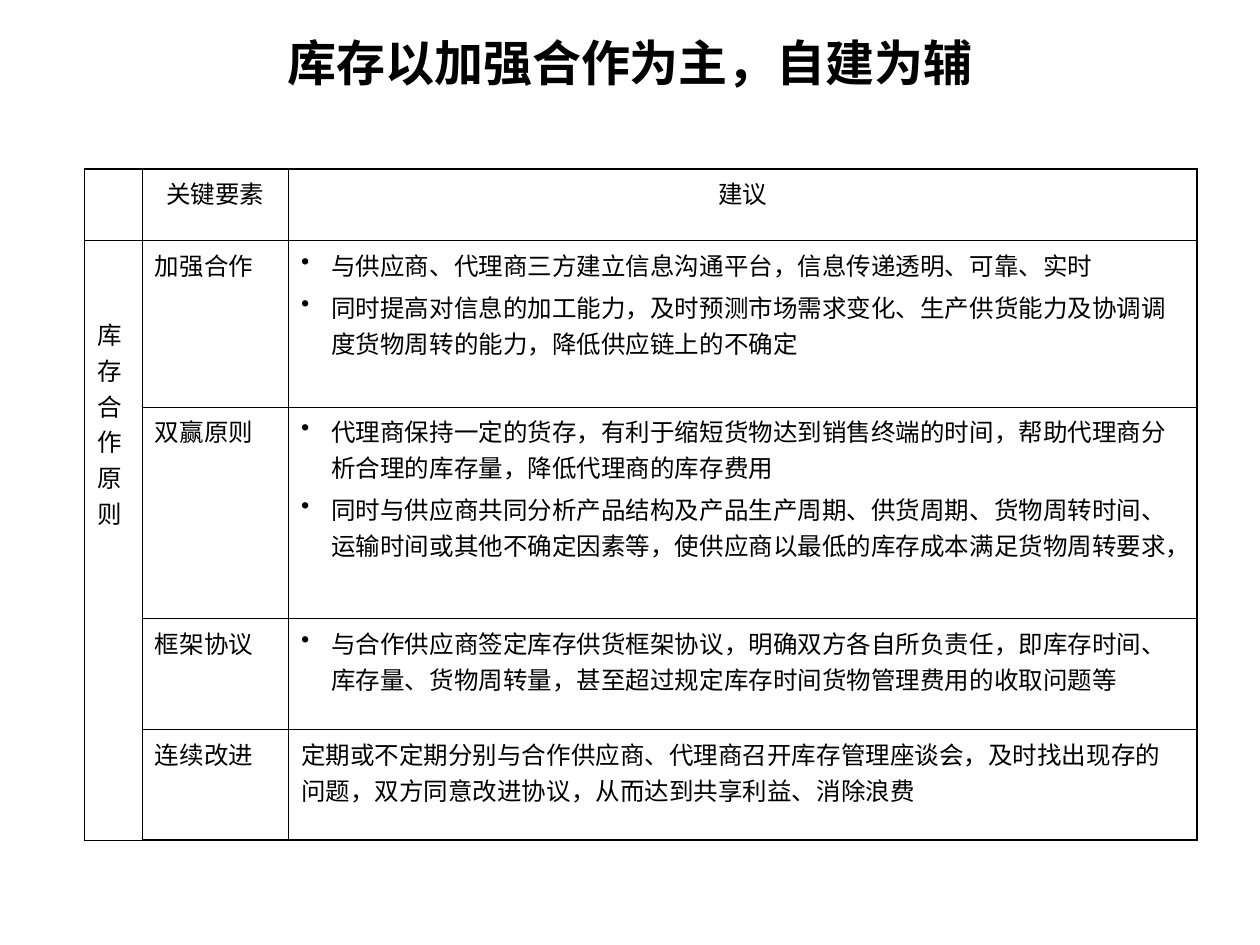
from dataclasses import dataclass

from lxml import etree
from pptx import Presentation
from pptx.dml.color import RGBColor
from pptx.enum.text import MSO_ANCHOR, PP_ALIGN
from pptx.oxml.ns import qn
from pptx.table import Table, _Cell
from pptx.text.text import TextFrame, _Paragraph
from pptx.util import Inches, Pt

BLACK = RGBColor(0, 0, 0)
LEFT, CENTER = PP_ALIGN.LEFT, PP_ALIGN.CENTER
MIDDLE = MSO_ANCHOR.MIDDLE
HEADING_FONT = "Noto Sans CJK SC"
BODY_FONT = "Times New Roman"
OUTER_LINE, INNER_LINE = Pt(1.08), Pt(0.45)
COLUMN_WIDTHS = (0.46, 1.16, 7.21)
ROW_HEIGHTS = (0.57, 1.32, 1.68, 0.88, 0.88)
HANGING = Inches(0.24)


@dataclass(frozen=True)
class Principle:
    element: str
    advice: tuple[str, ...]
    bulleted: bool = True


PRINCIPLES = (
    Principle("加强合作", (
        "与供应商、代理商三方建立信息沟通平台，信息传递透明、可靠、实时",
        "同时提高对信息的加工能力，及时预测市场需求变化、生产供货能力及协调调度货物周转的能力，降低供应链上的不确定",
    )),
    Principle("双赢原则", (
        "代理商保持一定的货存，有利于缩短货物达到销售终端的时间，帮助代理商分析合理的库存量，降低代理商的库存费用",
        "同时与供应商共同分析产品结构及产品生产周期、供货周期、货物周转时间、运输时间或其他不确定因素等，使供应商以最低的库存成本满足货物周转要求，",
    )),
    Principle("框架协议", (
        "与合作供应商签定库存供货框架协议，明确双方各自所负责任，即库存时间、库存量、货物周转量，甚至超过规定库存时间货物管理费用的收取问题等",
    )),
    Principle("连续改进", (
        "定期或不定期分别与合作供应商、代理商召开库存管理座谈会，及时找出现存的问题，双方同意改进协议，从而达到共享利益、消除浪费",
    ), bulleted=False),
)


def add_bullet(paragraph: _Paragraph) -> None:
    properties = paragraph._p.get_or_add_pPr()
    properties.set("marL", str(HANGING))
    properties.set("indent", str(-HANGING))
    etree.SubElement(properties, qn("a:buChar")).set("char", "•")


def write(frame: TextFrame, lines: tuple[str, ...], font_name: str = BODY_FONT,
          size: float = 14, bold: bool = False, align: PP_ALIGN = LEFT,
          bulleted: bool = False) -> None:
    for index, line in enumerate(lines):
        paragraph = frame.add_paragraph() if index else frame.paragraphs[0]
        paragraph.alignment = align
        if index:
            paragraph.space_before = Pt(3.5)
        if bulleted:
            add_bullet(paragraph)
        run = paragraph.add_run()
        run.text = line
        font = run.font
        font.name, font.size, font.bold = font_name, Pt(size), bold
        font.color.rgb = BLACK
        east_asian = etree.SubElement(run._r.get_or_add_rPr(), qn("a:ea"))
        east_asian.set("typeface", HEADING_FONT)


def draw_borders(cell: _Cell, outer_sides: dict[str, bool]) -> None:
    properties = cell._tc.get_or_add_tcPr()
    for index, (side, outer) in enumerate(outer_sides.items()):
        line = etree.Element(qn(f"a:{side}"))
        line.set("w", str(OUTER_LINE if outer else INNER_LINE))
        fill = etree.SubElement(line, qn("a:solidFill"))
        etree.SubElement(fill, qn("a:srgbClr")).set("val", str(BLACK))
        properties.insert(index, line)


def format_grid(table: Table) -> None:
    table.first_row = table.horz_banding = False
    for column, width in zip(table.columns, COLUMN_WIDTHS):
        column.width = Inches(width)
    for row, height in zip(table.rows, ROW_HEIGHTS):
        row.height = Inches(height)
    last_row, last_column = len(ROW_HEIGHTS) - 1, len(COLUMN_WIDTHS) - 1
    for r in range(last_row + 1):
        for c in range(last_column + 1):
            cell = table.cell(r, c)
            cell.fill.background()
            draw_borders(cell, {"lnL": c == 0, "lnR": c == last_column,
                                "lnT": r == 0, "lnB": r == last_row})


def main() -> None:
    presentation = Presentation()
    presentation.slide_width, presentation.slide_height = Inches(10), Inches(7.5)
    slide = presentation.slides.add_slide(presentation.slide_layouts[6])

    # Heading
    heading = slide.shapes.add_textbox(
        Inches(0.75), Inches(0.33), Inches(8.5), Inches(0.33)).text_frame
    heading.word_wrap = True
    heading.vertical_anchor = MIDDLE
    write(heading, ("库存以加强合作为主，自建为辅",), HEADING_FONT, 28, True, CENTER)

    # Table grid
    table = slide.shapes.add_table(
        len(ROW_HEIGHTS), len(COLUMN_WIDTHS), Inches(0.67), Inches(1.34),
        Inches(sum(COLUMN_WIDTHS)), Inches(sum(ROW_HEIGHTS))).table
    format_grid(table)

    # Header row
    for column, label in enumerate(("关键要素", "建议"), start=1):
        write(table.cell(0, column).text_frame, (label,), align=CENTER)

    # Label beside all principles, one character to a line
    group = table.cell(1, 0)
    group.merge(table.cell(len(PRINCIPLES), 0))
    group.margin_top = Inches(0.6)
    write(group.text_frame, ("库存合作原则",))

    # Principles
    for row, principle in enumerate(PRINCIPLES, start=1):
        write(table.cell(row, 1).text_frame, (principle.element,))
        write(table.cell(row, 2).text_frame, principle.advice,
              bulleted=principle.bulleted)

    presentation.save("out.pptx")


if __name__ == "__main__":
    main()
